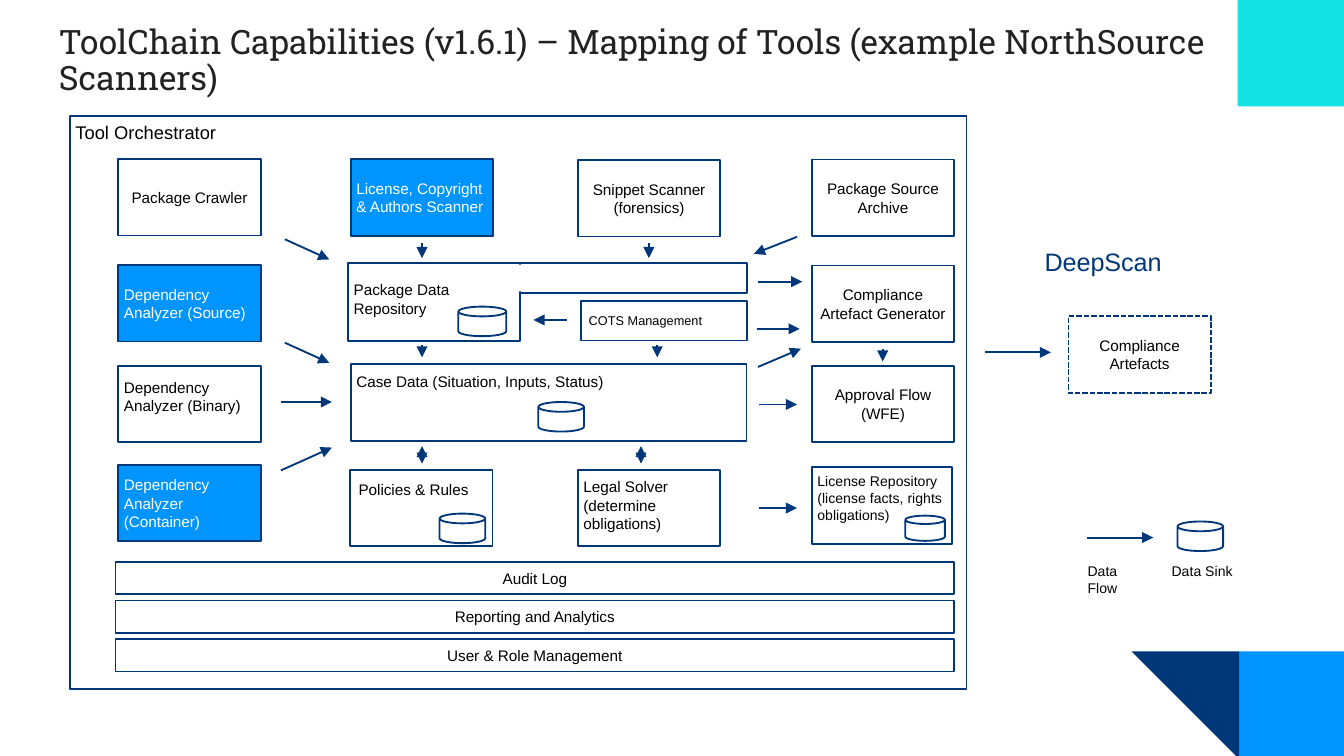
from typing import NamedTuple, Optional

from lxml import etree
from pptx import Presentation
from pptx.dml.color import RGBColor
from pptx.enum.dml import MSO_LINE
from pptx.enum.shapes import MSO_CONNECTOR, MSO_SHAPE
from pptx.enum.text import MSO_ANCHOR, PP_ALIGN
from pptx.oxml.ns import qn
from pptx.util import Pt

RECTANGLE, TRIANGLE, CAN = MSO_SHAPE.RECTANGLE, MSO_SHAPE.RIGHT_TRIANGLE, MSO_SHAPE.CAN
STRAIGHT = MSO_CONNECTOR.STRAIGHT
LEFT, CENTER = PP_ALIGN.LEFT, PP_ALIGN.CENTER
TOP, MIDDLE = MSO_ANCHOR.TOP, MSO_ANCHOR.MIDDLE
DASHED = MSO_LINE.SQUARE_DOT

COLORS = {
    "navy": "003778", "blue": "0094FF", "cyan": "12E2E2",
    "white": "FFFFFF", "black": "000000", "title": "222222",
}
BOX_WIDTH, BOX_HEIGHT = 76.3, 41
COLUMN_1, COLUMN_2, COLUMN_3, COLUMN_4 = 63.4, 187.9, 309.6, 434.9
BAR_LEFT, BAR_TOP, BAR_STEP = 61.9, 301, 20.7


class Box(NamedTuple):
    text: str
    left: float
    top: float
    width: float = BOX_WIDTH
    height: float = BOX_HEIGHT
    align: PP_ALIGN = LEFT
    fill: str = "white"
    size: float = 8.2
    text_top: Optional[float] = None  # top inset; None centres the text vertically
    text_left: float = 3
    dashed: bool = False


class Arrow(NamedTuple):
    start_x: float
    start_y: float
    end_x: float
    end_y: float
    both_ends: bool = False


class Sink(NamedTuple):
    left: float
    top: float
    width: float = 24.5
    height: float = 15.8


class Label(NamedTuple):
    text: str
    left: float
    top: float
    width: float
    height: float
    size: float
    color: str
    font: str = "Arial"
    inset_x: float = 3
    inset_y: float = 3
    wrap: bool = False
    line_spacing: float = 1.0


BOXES = [
    Box("Tool Orchestrator", 37.4, 62, 480.4, 307.2, size=9.8, text_top=3),
    Box("Package Crawler", COLUMN_1, 85.2, align=CENTER),
    Box("License, Copyright & Authors Scanner", COLUMN_2, 85.3, fill="blue"),
    Box("Snippet Scanner\v(forensics)", COLUMN_3, 85.8, align=CENTER),
    Box("Package Source Archive", COLUMN_4, 85.5, align=CENTER),
    Box("Dependency Analyzer (Source)", COLUMN_1, 142, fill="blue"),
    Box("Dependency Analyzer (Binary)", COLUMN_1, 196, text_top=6.5),
    Box("Dependency Analyzer (Container)", COLUMN_1, 249.1, fill="blue"),
    Box("Compliance Artefact Generator", COLUMN_4, 142.3, align=CENTER),
    Box("Approval Flow (WFE)", COLUMN_4, 196, align=CENTER),
    Box("License Repository (license facts, rights obligations)",
        COLUMN_4, 250.3, 75.2, size=7.5, text_top=3),
    Box("COTS Management", 311.4, 161.4, 88.7, 21.1, size=6.8, text_left=4),
    Box("Case Data (Situation, Inputs, Status)",
        COLUMN_2, 195.1, 212, text_top=4.2),
    Box("Policies & Rules", 187.6, 251.6, text_top=5.5, text_left=4.5),
    Box("Legal Solver (determine obligations)", COLUMN_3, 251.6, text_top=4.2),
    Box("Package Data Repository", 186.5, 141.1, 92, 41.5, text_top=9.2),
    Box("", 278.5, 141.1, 121.6, 15.8),
    Box("Compliance Artefacts", 572.4, 169.4, align=CENTER, dashed=True),
]
BARS = [
    Box(text, BAR_LEFT, BAR_TOP + index * BAR_STEP, 449.3, 17.4, CENTER)
    for index, text in enumerate(
        ["Audit Log", "Reporting and Analytics", "User & Role Management"])
]
ARROWS = [
    # Into the repository and the case data
    Arrow(152.6, 128.2, 176.4, 139), Arrow(152.6, 183.6, 176.4, 194.4),
    Arrow(150.5, 215.4, 177.8, 215.4), Arrow(150.5, 252, 177.8, 239.8),
    Arrow(226.1, 130.3, 226.1, 138.3), Arrow(347.6, 130.3, 347.6, 138.3),
    Arrow(427, 126.9, 403.9, 136), Arrow(303.8, 171.4, 285.8, 171.4),
    Arrow(226.1, 185, 226.1, 191.5), Arrow(352.1, 185, 352.1, 191.5),
    Arrow(226.1, 248.4, 226.1, 239, True), Arrow(343.4, 248.4, 343.4, 239, True),
    # Towards the right column and the artefacts
    Arrow(406.1, 150.9, 429.8, 150.9), Arrow(405.4, 176.2, 428.4, 176.2),
    Arrow(406.1, 196.6, 429.1, 186.8), Arrow(406.8, 216.7, 427, 216.7),
    Arrow(406.8, 272.2, 427, 272.2), Arrow(472.9, 187.2, 472.9, 193.7),
    Arrow(527.8, 188.8, 563, 188.8),
    # Legend
    Arrow(582.5, 288, 617.8, 288),
]
SINKS = [
    Sink(288.4, 215.4), Sink(485, 276.3, 21.2, 13.5), Sink(245.5, 164.3, 25.7),
    Sink(630.8, 279.4), Sink(235.5, 275.2),
]
LABELS = [
    Label("ToolChain Capabilities (v1.6.1) – Mapping of Tools (example NorthSource Scanners)",
          24.5, 6.5, 671, 47.5, 18, "title", "Roboto Slab", 7.2, 7.2, True, 0.9),
    Label("DeepScan", 556.6, 128.9, 69.1, 21.6, 13.5, "navy"),
    Label("Data Flow", 579.6, 297.7, 39.6, 16.6, 7.5, "black", inset_y=3.6),
    Label("Data Sink", 624.6, 297.7, 39.6, 16.6, 7.5, "black", inset_y=3.6),
]


def color(name: str) -> RGBColor:
    return RGBColor.from_string(COLORS[name])


def add_filled_shape(slide, kind, left: float, top: float, width: float, height: float,
                     fill: str, outlined: bool = False):
    shape = slide.shapes.add_shape(kind, Pt(left), Pt(top), Pt(width), Pt(height))
    shape.shadow.inherit = False
    shape.fill.solid()
    shape.fill.fore_color.rgb = color(fill)
    if outlined:
        shape.line.color.rgb = color("navy")
        shape.line.width = Pt(1)
    else:
        shape.line.fill.background()
    return shape


def write_text(shape, text: str, size: float, text_color: str, font: str, align: PP_ALIGN,
               inset_x: float, inset_y: float, anchor: MSO_ANCHOR, wrap: bool):
    frame = shape.text_frame
    frame.word_wrap = wrap
    frame.vertical_anchor = anchor
    frame.margin_left, frame.margin_right = Pt(inset_x), Pt(3)
    frame.margin_top = frame.margin_bottom = Pt(inset_y)
    paragraph = frame.paragraphs[0]
    paragraph.text = text
    paragraph.alignment = align
    paragraph.font.name = font
    paragraph.font.size = Pt(size)
    paragraph.font.color.rgb = color(text_color)
    return paragraph


def add_box(slide, box: Box) -> None:
    shape = add_filled_shape(slide, RECTANGLE, box.left, box.top, box.width, box.height,
                             box.fill, outlined=True)
    if box.dashed:
        shape.line.dash_style = DASHED
    if box.text:
        centred = box.text_top is None
        write_text(shape, box.text, box.size, "white" if box.fill == "blue" else "black",
                   "Arial", box.align, box.text_left, 0 if centred else box.text_top,
                   MIDDLE if centred else TOP, True)


def add_label(slide, label: Label) -> None:
    shape = slide.shapes.add_textbox(Pt(label.left), Pt(label.top),
                                     Pt(label.width), Pt(label.height))
    paragraph = write_text(shape, label.text, label.size, label.color, label.font, LEFT,
                           label.inset_x, label.inset_y, TOP, label.wrap)
    paragraph.line_spacing = label.line_spacing


def add_arrow(slide, arrow: Arrow) -> None:
    connector = slide.shapes.add_connector(STRAIGHT, Pt(arrow.start_x), Pt(arrow.start_y),
                                           Pt(arrow.end_x), Pt(arrow.end_y))
    connector.line.color.rgb = color("navy")
    connector.line.width = Pt(1)
    line = connector.get_or_add_ln()
    for end in ["a:headEnd", "a:tailEnd"] if arrow.both_ends else ["a:tailEnd"]:
        etree.SubElement(line, qn(end), type="triangle")
    etree.SubElement(line.getparent(), qn("a:effectLst"))


def add_sink(slide, sink: Sink) -> None:
    shape = add_filled_shape(slide, CAN, *sink, "white", outlined=True)
    shape.adjustments[0] = 0.33


def main() -> None:
    presentation = Presentation()
    presentation.slide_width, presentation.slide_height = Pt(720), Pt(405)
    slide = presentation.slides.add_slide(presentation.slide_layouts[6])

    add_filled_shape(slide, RECTANGLE, 663.8, 349, 56.2, 56, "blue")
    triangle = add_filled_shape(slide, TRIANGLE, 606.2, 349, 57.6, 57.6, "navy")
    triangle.rotation = 180
    add_filled_shape(slide, RECTANGLE, 663, 0, 57, 57, "cyan")

    for box in BOXES + BARS:
        add_box(slide, box)
    # Opens the joint between the two parts of the package data repository
    add_filled_shape(slide, RECTANGLE, 272.2, 141.8, 10.1, 14.4, "white")
    for sink in SINKS:
        add_sink(slide, sink)
    for arrow in ARROWS:
        add_arrow(slide, arrow)
    for label in LABELS:
        add_label(slide, label)
    presentation.save("out.pptx")


if __name__ == "__main__":
    main()
